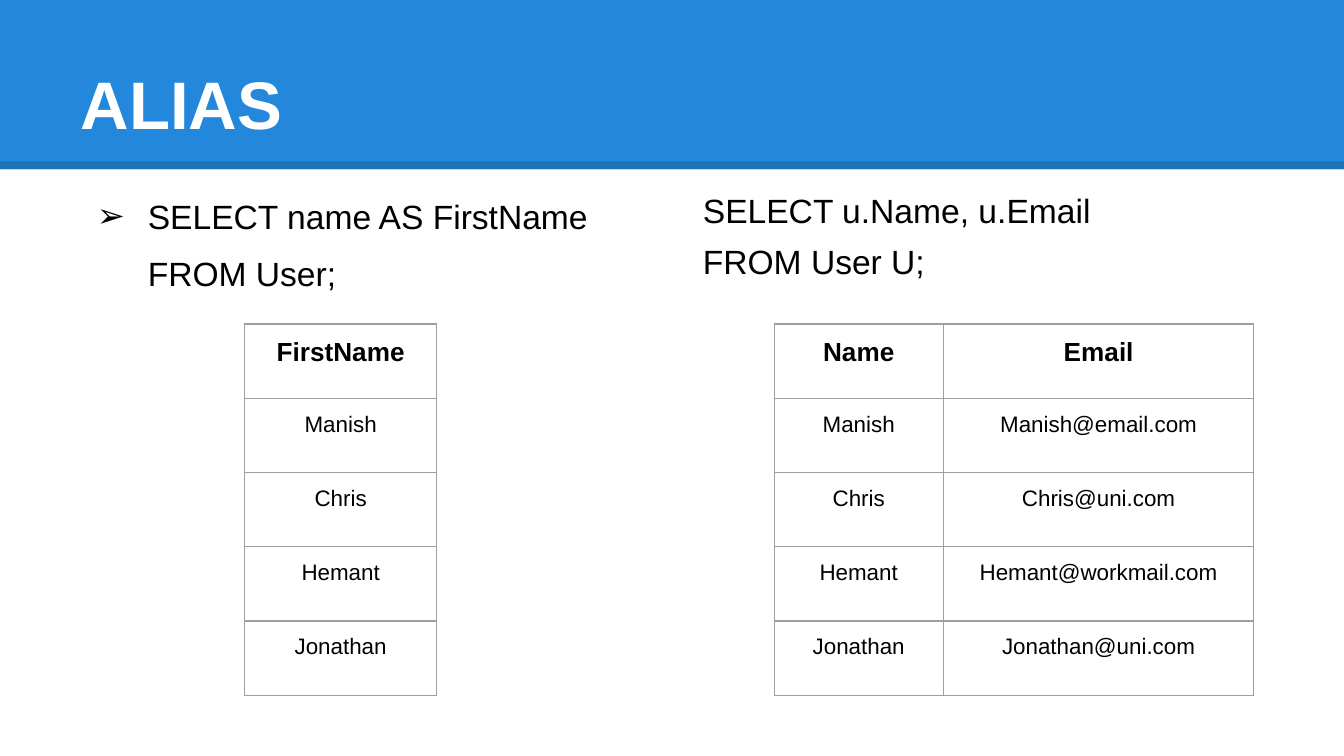
import dataclasses

import lxml.etree
import pptx
import pptx.dml.color
import pptx.enum.shapes
import pptx.enum.text
import pptx.oxml.ns
import pptx.util

qn = pptx.oxml.ns.qn
ALIGN = pptx.enum.text.PP_ALIGN
ANCHOR = pptx.enum.text.MSO_ANCHOR


@dataclasses.dataclass(frozen=True)
class Theme:
    font: str = "Arial"
    band: str = "2388DB"
    ink: str = "000000"
    paper: str = "FFFFFF"
    grid: str = "9E9E9E"
    title_size: float = 36
    body_size: float = 18
    header_size: float = 14
    cell_size: float = 12
    rule_width: float = 4.5
    border_width: float = 0.75
    inset: float = 0.1


def rgb(value):
    return pptx.dml.color.RGBColor.from_string(value)


def add_node(parent, tag, **attributes):
    return lxml.etree.SubElement(parent, qn(tag), attributes)


class SlideBuilder:
    def __init__(self, deck, theme):
        self.deck = deck
        self.theme = theme
        self.slide = deck.slides.add_slide(deck.slide_layouts[3])
        self.backdrop_depth = 2

    def x(self, columns):
        return round(self.deck.slide_width * columns / 100)

    def y(self, rows):
        return round(self.deck.slide_height * rows / 100)

    def box(self, left, top, width, height):
        return self.x(left), self.y(top), self.x(width), self.y(height)

    def send_back(self, shape):
        self.slide.shapes._spTree.insert(self.backdrop_depth, shape._element)
        self.backdrop_depth += 1

    def band(self, *area):
        band = self.slide.shapes.add_shape(
            pptx.enum.shapes.MSO_SHAPE.RECTANGLE, *self.box(*area))
        band.shadow.inherit = False
        band.fill.solid()
        band.fill.fore_color.rgb = rgb(self.theme.band)
        band.line.fill.background()
        self.send_back(band)

    def rule(self, row, opacity):
        rule = self.slide.shapes.add_connector(
            pptx.enum.shapes.MSO_CONNECTOR.STRAIGHT,
            0, self.y(row), self.x(100), self.y(row))
        rule.line.width = pptx.util.Pt(self.theme.rule_width)
        rule.line.color.rgb = rgb(self.theme.ink)
        ink = rule._element.spPr.find(".//" + qn("a:srgbClr"))
        add_node(ink, "a:alpha", val=str(opacity * 1000))
        add_node(rule._element.spPr, "a:effectLst")
        self.send_back(rule)

    def run(self, paragraph, text, size, color, bold=False):
        run = paragraph.add_run()
        run.text = text
        run.font.name = self.theme.font
        run.font.size = pptx.util.Pt(size)
        run.font.bold = bold
        run.font.color.rgb = rgb(color)

    def placeholder(self, index, area, anchor):
        holder = self.slide.placeholders[index]
        holder.left, holder.top, holder.width, holder.height = self.box(*area)
        frame = holder.text_frame
        frame.word_wrap = True
        frame.auto_size = pptx.enum.text.MSO_AUTO_SIZE.NONE
        frame.vertical_anchor = anchor
        inset = pptx.util.Inches(self.theme.inset)
        frame.margin_left = frame.margin_right = inset
        frame.margin_top = frame.margin_bottom = inset
        return frame

    def title(self, text, *area):
        heading = self.placeholder(0, area, ANCHOR.BOTTOM).paragraphs[0]
        heading.alignment = ALIGN.LEFT
        self.run(heading, text, self.theme.title_size, self.theme.paper, True)

    def query(self, index, area, lines, spacing):
        frame = self.placeholder(index, area, ANCHOR.TOP)
        for number, (text, margin, indent, bullet) in enumerate(lines):
            line = frame.add_paragraph() if number else frame.paragraphs[0]
            line.alignment = ALIGN.LEFT
            line.line_spacing = spacing
            line.space_before = pptx.util.Pt(6)
            properties = line._p.get_or_add_pPr()
            properties.set("marL", str(pptx.util.Inches(margin)))
            properties.set("indent", str(pptx.util.Inches(indent)))
            if bullet:
                color = add_node(properties, "a:buClr")
                add_node(color, "a:srgbClr", val=self.theme.ink)
                add_node(properties, "a:buFont", typeface=self.theme.font)
                add_node(properties, "a:buChar", char=bullet)
            else:
                add_node(properties, "a:buNone")
            self.run(line, text, self.theme.body_size, self.theme.ink)

    def borders(self, cell):
        properties = cell._tc.get_or_add_tcPr()
        width = str(pptx.util.Pt(self.theme.border_width))
        for position, side in enumerate(("a:lnL", "a:lnR", "a:lnT", "a:lnB")):
            edge = add_node(properties, side, w=width)
            fill = add_node(edge, "a:solidFill")
            add_node(fill, "a:srgbClr", val=self.theme.grid)
            properties.insert(position, edge)

    def table(self, left, top, widths, row_height, records):
        area = self.box(left, top, sum(widths), row_height * len(records))
        table = self.slide.shapes.add_table(
            len(records), len(widths), *area).table
        table.first_row = table.horz_banding = False
        for column, width in zip(table.columns, widths):
            column.width = self.x(width)
        inset = pptx.util.Inches(self.theme.inset)
        for row_number, record in enumerate(records):
            table.rows[row_number].height = self.y(row_height)
            header = row_number == 0
            size = self.theme.header_size if header else self.theme.cell_size
            for column_number, text in enumerate(record):
                cell = table.cell(row_number, column_number)
                cell.fill.background()
                cell.margin_left = cell.margin_right = inset
                cell.margin_top = cell.margin_bottom = inset
                self.borders(cell)
                entry = cell.text_frame.paragraphs[0]
                entry.alignment = ALIGN.CENTER
                self.run(entry, text, size, self.theme.ink, header)


def main():
    deck = pptx.Presentation()
    deck.slide_width = pptx.util.Inches(10)
    deck.slide_height = deck.slide_width * 9 // 16
    page = SlideBuilder(deck, Theme())

    page.band(0, 0, 100, 22.4)
    page.rule(21.9, opacity=14)
    page.title("ALIAS", 5, 4, 90, 16.7)

    query_top, query_width, query_height = 23.33, 43.7, 72.4
    page.query(1, (5, query_top, query_width, query_height),
               [("SELECT name AS FirstName", 0.5, -0.38, "➢"),
                ("FROM User;", 0, 0.5, None)], spacing=1.15)
    page.query(2, (51.3, query_top, query_width, query_height),
               [("SELECT u.Name, u.Email", 0, 0, None),
                ("FROM User U;", 0, 0, None)], spacing=1)

    users = [("Manish", "email.com"), ("Chris", "uni.com"),
             ("Hemant", "workmail.com"), ("Jonathan", "uni.com")]
    names = [("FirstName",)] + [(name,) for name, _ in users]
    contacts = [("Name", "Email")] + [
        (name, f"{name}@{domain}") for name, domain in users]
    table_top, row_height = 42.87, 9.82
    page.table(18.2, table_top, [14.3], row_height, names)
    page.table(57.6, table_top, [12.6, 23.1], row_height, contacts)

    deck.save("out.pptx")


if __name__ == "__main__":
    main()
